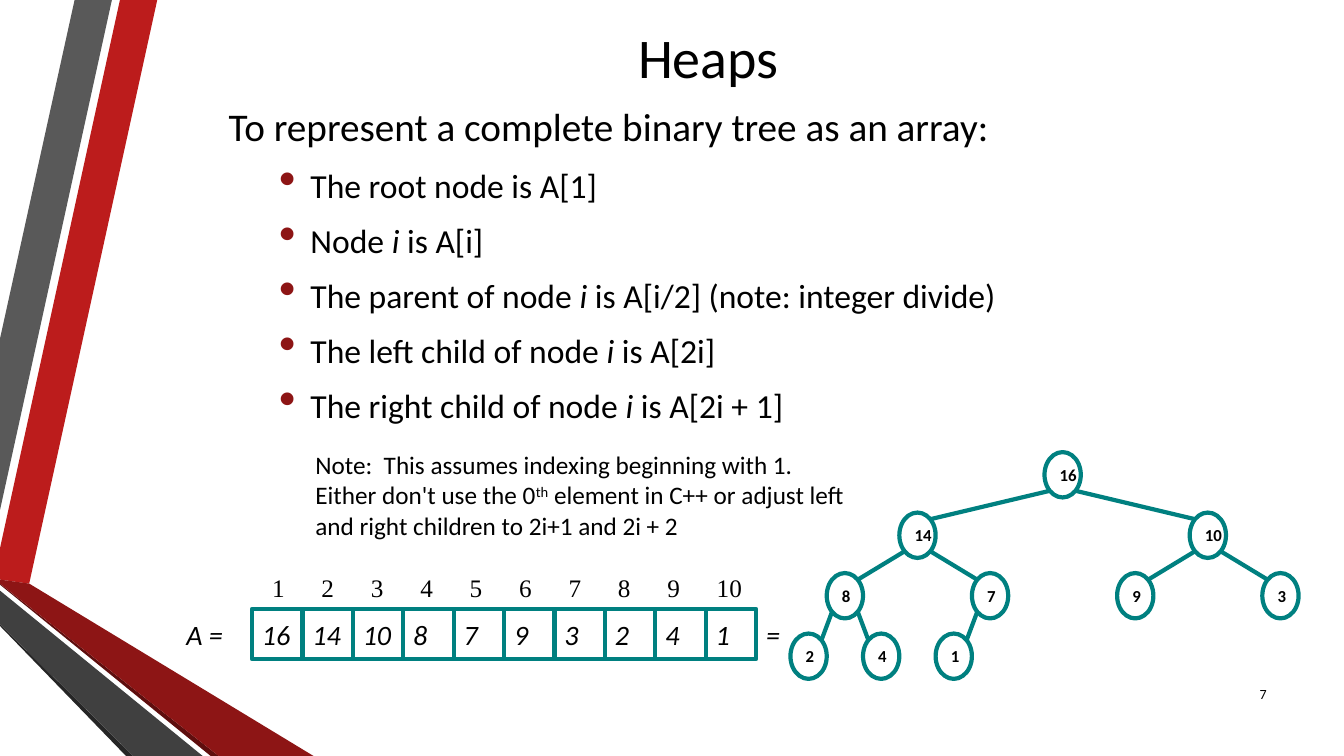
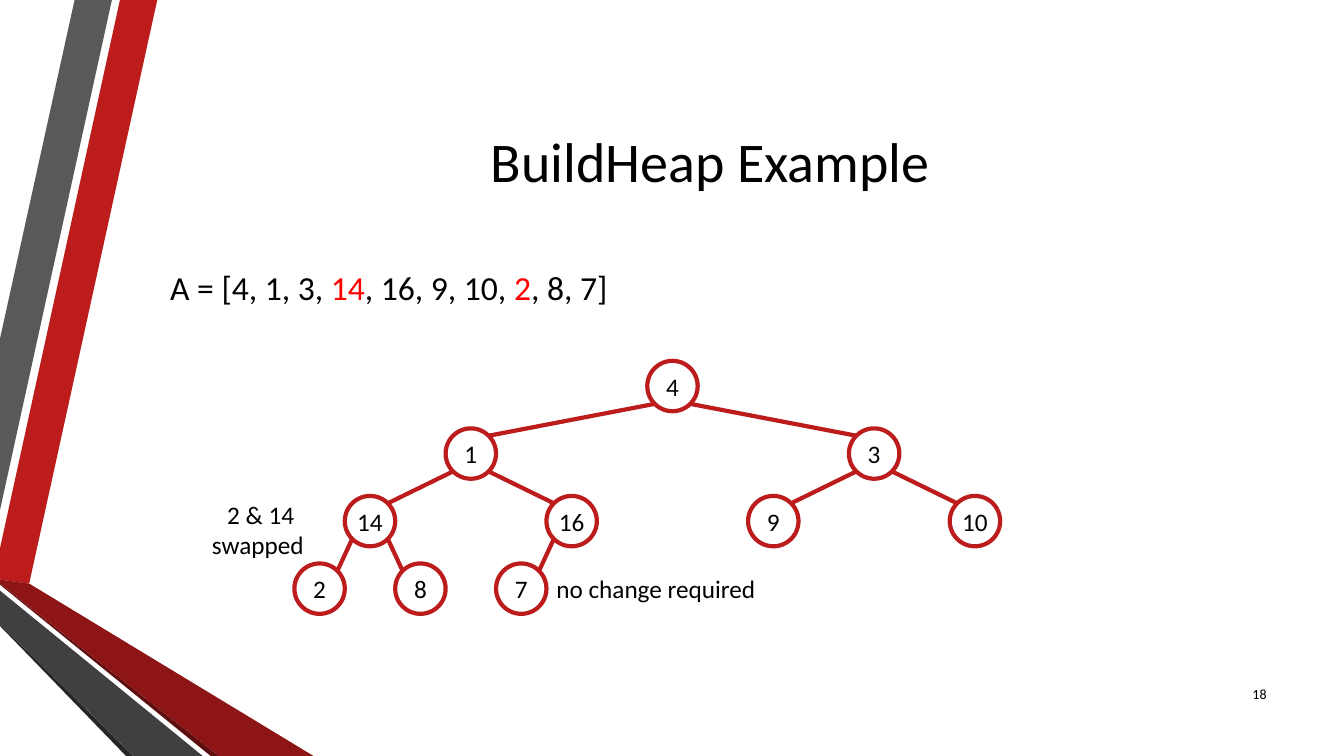
import math

import pptx
import pptx.dml.color
import pptx.enum.shapes
import pptx.enum.text
import pptx.oxml
import pptx.oxml.ns
import pptx.util
import lxml.etree

Inches = pptx.util.Inches
Pt = pptx.util.Pt
ALIGN = pptx.enum.text.PP_ALIGN
ANCHOR = pptx.enum.text.MSO_ANCHOR
SHAPE = pptx.enum.shapes.MSO_SHAPE
qn = pptx.oxml.ns.qn

BLACK = "000000"
WHITE = "FFFFFF"
RED = "BC1C1C"
DARK_RED = "8D1515"
BRIGHT_RED = "FF0000"
TEAL = "008080"
LINE_WIDTH = 3

BANDS = [
    (RED, [(0, 5.44), (0, 5.75), (0.29, 5.79), (1.56, 0), (1.19, 0)]),
    ("595959", [(1.11, 0), (0.74, 0), (0, 3.36), (0, 5.06)]),
    ("262626", [(0, 6.19), (0, 6.21), (1.25, 7.5), (1.32, 7.5)]),
    ("5E0E0E", [(0, 5.79), (0, 5.8), (2.09, 7.5), (2.17, 7.5)]),
    (DARK_RED, [(0, 5.79), (2.17, 7.5), (3.11, 7.5), (0.29, 5.79), (0, 5.75)]),
    ("404040", [(0, 6.19), (1.32, 7.5), (2.01, 7.5), (0, 5.86)]),
]


def color(value):
    return pptx.dml.color.RGBColor.from_string(value)


def write(frame, *runs, size=18, font="Calibri", fill=BLACK, bold=False,
          italic=False, align=ALIGN.LEFT, anchor=ANCHOR.TOP, wrap=True,
          before=0, after=0):
    frame.word_wrap = wrap
    frame.vertical_anchor = anchor
    paragraph = frame.paragraphs[0]
    if paragraph.runs:
        paragraph = frame.add_paragraph()
    paragraph.alignment = align
    paragraph.space_before = Pt(before)
    paragraph.space_after = Pt(after)
    for item in runs:
        text, changes = (item, {}) if isinstance(item, str) else item
        run = paragraph.add_run()
        run.text = text
        run.font.name = font
        run.font.size = Pt(size)
        run.font.bold = bold
        run.font.italic = changes.get("italic", italic)
        run.font.color.rgb = color(changes.get("fill", fill))
        if "baseline" in changes:
            run._r.get_or_add_rPr().set("baseline", changes["baseline"])
    return paragraph


def add_text_box(slide, box):
    return slide.shapes.add_textbox(*map(Inches, box)).text_frame


def add_bullet(paragraph, margin=0.81, hanging=0.31):
    properties = paragraph._p.get_or_add_pPr()
    properties.set("marL", str(Inches(margin)))
    properties.set("indent", str(-Inches(hanging)))
    bullet_color = lxml.etree.SubElement(properties, qn("a:buClr"))
    lxml.etree.SubElement(bullet_color, qn("a:srgbClr"), val=DARK_RED)
    lxml.etree.SubElement(properties, qn("a:buSzPct"), val="145000")
    lxml.etree.SubElement(properties, qn("a:buChar"), char="•")


def add_outlined(slide, kind, box, line, text, **text_format):
    shape = slide.shapes.add_shape(kind, *map(Inches, box))
    shape.shadow.inherit = False
    shape.fill.solid()
    shape.fill.fore_color.rgb = color(WHITE)
    shape.line.color.rgb = color(line)
    shape.line.width = Pt(LINE_WIDTH)
    write(shape.text_frame, text, anchor=ANCHOR.MIDDLE, wrap=False, **text_format)


def add_line(slide, start, end, line):
    connector = slide.shapes.add_connector(
        pptx.enum.shapes.MSO_CONNECTOR.STRAIGHT, *map(Inches, start + end))
    connector.line.color.rgb = color(line)
    connector.line.width = Pt(LINE_WIDTH)
    lxml.etree.SubElement(connector.element.spPr, qn("a:effectLst"))


def add_bands(slide, layout):
    for number, (fill, points) in enumerate(BANDS):
        corners = [(Inches(x), Inches(y)) for x, y in points]
        builder = slide.shapes.build_freeform(*corners[0], scale=1.0)
        builder.add_line_segments(corners[1:], close=True)
        band = builder.convert_to_shape()
        band.shadow.inherit = False
        band.fill.solid()
        band.fill.fore_color.rgb = color(fill)
        band.line.fill.background()
        band.element.nvSpPr.cNvPr.set("id", str(20 + number))
        layout.shapes.element.append(band.element)


def add_titled_slide(presentation, layout, title, box, number):
    slide = presentation.slides.add_slide(layout)
    placeholder = slide.shapes.title
    placeholder.left, placeholder.top, placeholder.width, placeholder.height = map(Inches, box)
    write(placeholder.text_frame, title, size=40, align=ALIGN.CENTER, anchor=ANCHOR.MIDDLE)
    write(add_text_box(slide, (12.04, 6.68, 0.62, 0.4)), str(number), size=10,
          align=ALIGN.RIGHT, anchor=ANCHOR.MIDDLE)
    return slide


def add_heap_tree(slide, values, root, node, spread, drop, line, **text_format):
    width, height = node
    centers = [root]
    for index in range(1, len(values)):
        depth = int(math.log2(index + 1))
        x, y = centers[(index - 1) // 2]
        side = -1 if index % 2 else 1
        centers.append((x + side * spread / 2 ** (depth - 1), y + drop))
    for value, (x, y) in zip(values, centers):
        add_outlined(slide, SHAPE.OVAL, (x - width / 2, y - height / 2, width, height),
                     line, str(value), **text_format)
    reach_x, reach_y = (length / 2 * math.sqrt(0.5) for length in node)
    for index in range(1, len(values)):
        side = -1 if index % 2 else 1
        parent_x, parent_y = centers[(index - 1) // 2]
        x, y = centers[index]
        add_line(slide, (parent_x + side * reach_x, parent_y + reach_y),
                 (x - side * reach_x, y - reach_y), line)


def add_array(slide, values, left, top, cell=0.5, label_pitch=0.49):
    text_format = {"size": 20, "italic": True}
    end = left + cell * len(values)
    for text, x, width in (("A =", left - 0.75, 0.75), ("=", end, 0.33)):
        write(add_text_box(slide, (x, top, width, cell)), text,
              anchor=ANCHOR.MIDDLE, wrap=False, **text_format)
    for index, value in enumerate(values):
        add_outlined(slide, SHAPE.RECTANGLE, (left + cell * index, top, cell, cell),
                     TEAL, str(value), **text_format)
        label_box = (left + 0.1 + label_pitch * index, top - 0.41, 0.48, 0.4)
        write(add_text_box(slide, label_box), str(index + 1), font="Times New Roman")


def add_rules(slide, box):
    frame = add_text_box(slide, box)
    spacing = {"before": 4.5, "after": 6}
    write(frame, "To represent a complete binary tree as an array:", size=28, **spacing)
    rules = [
        ("The root node is A[1]",),
        ("Node ", " is A[i]"),
        ("The parent of node ", " is A[i/2] (note: integer divide)"),
        ("The left child of node ", " is A[2i]"),
        ("The right child of node ", " is A[2i + 1]"),
    ]
    for start, *rest in rules:
        runs = [start]
        if rest:
            runs += [("i", {"italic": True}), *rest]
        add_bullet(write(frame, *runs, size=24, **spacing))


def build_heaps(presentation, layout):
    slide = add_titled_slide(presentation, layout, "Heaps", (1.41, 0.14, 11.23, 0.83), 7)
    heap = [16, 14, 10, 8, 7, 9, 3, 2, 4, 1]
    add_rules(slide, (2.17, 0.97, 9.08, 3.4))
    add_heap_tree(slide, heap, root=(10.54, 4.71), node=(0.36, 0.45), spread=1.44,
                  drop=0.6, line=TEAL, size=12, bold=True)
    write(add_text_box(slide, (3.03, 4.41, 5.61, 1.01)),
          "Note:  This assumes indexing beginning with 1.  Either don't use the 0",
          ("th", {"baseline": "30000"}),
          " element in C++ or adjust left and right children to 2i+1 and 2i + 2")
    add_array(slide, heap, 2.5, 6.04)
    return slide


def build_example(presentation, layout):
    slide = add_titled_slide(presentation, layout, "BuildHeap Example",
                             (1.43, 0.5, 11.23, 2.17), 18)
    swapped = {"fill": BRIGHT_RED}
    write(add_text_box(slide, (1.59, 2.6, 11.23, 0.6)), "A = [4, 1, 3, ", ("14", swapped),
          ", 16, 9, 10, ", ("2", swapped), ", 8, 7]", size=24)
    add_heap_tree(slide, [4, 1, 3, 14, 16, 9, 10, 2, 8, 7], root=(6.67, 3.83),
                  node=(0.5, 0.5), spread=2, drop=0.67, line=RED, align=ALIGN.CENTER)
    write(add_text_box(slide, (5.42, 5.64, 2.21, 0.4)), "no change required", wrap=False)
    swap_note = add_text_box(slide, (1.99, 4.9, 1.19, 0.71))
    for text in ("2 & 14", "swapped "):
        write(swap_note, text, align=ALIGN.CENTER, wrap=False)


def main():
    presentation = pptx.Presentation()
    presentation.slide_width = Inches(13.33)
    presentation.slide_height = Inches(7.5)
    layout = presentation.slide_layouts.get_by_name("Title Only")
    heaps = build_heaps(presentation, layout)
    add_bands(heaps, layout)
    build_example(presentation, layout)
    presentation.save("out.pptx")


if __name__ == "__main__":
    main()
